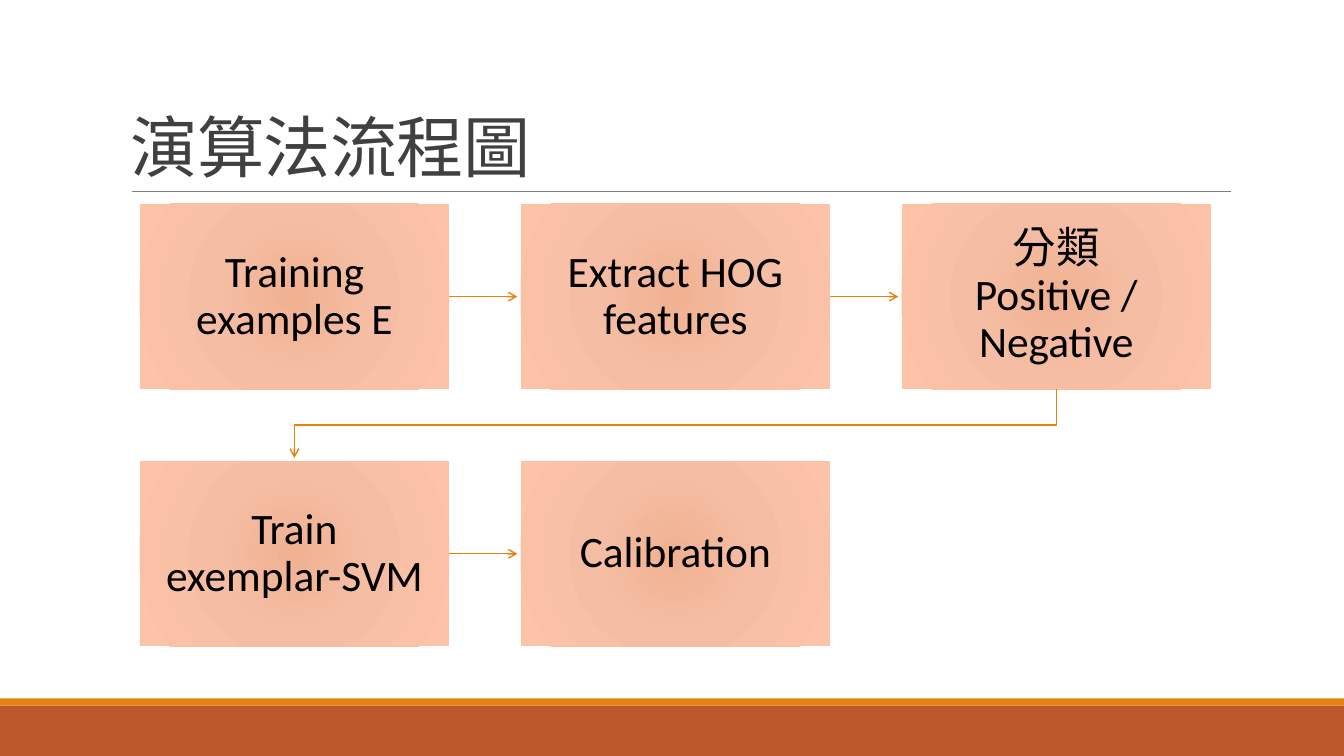
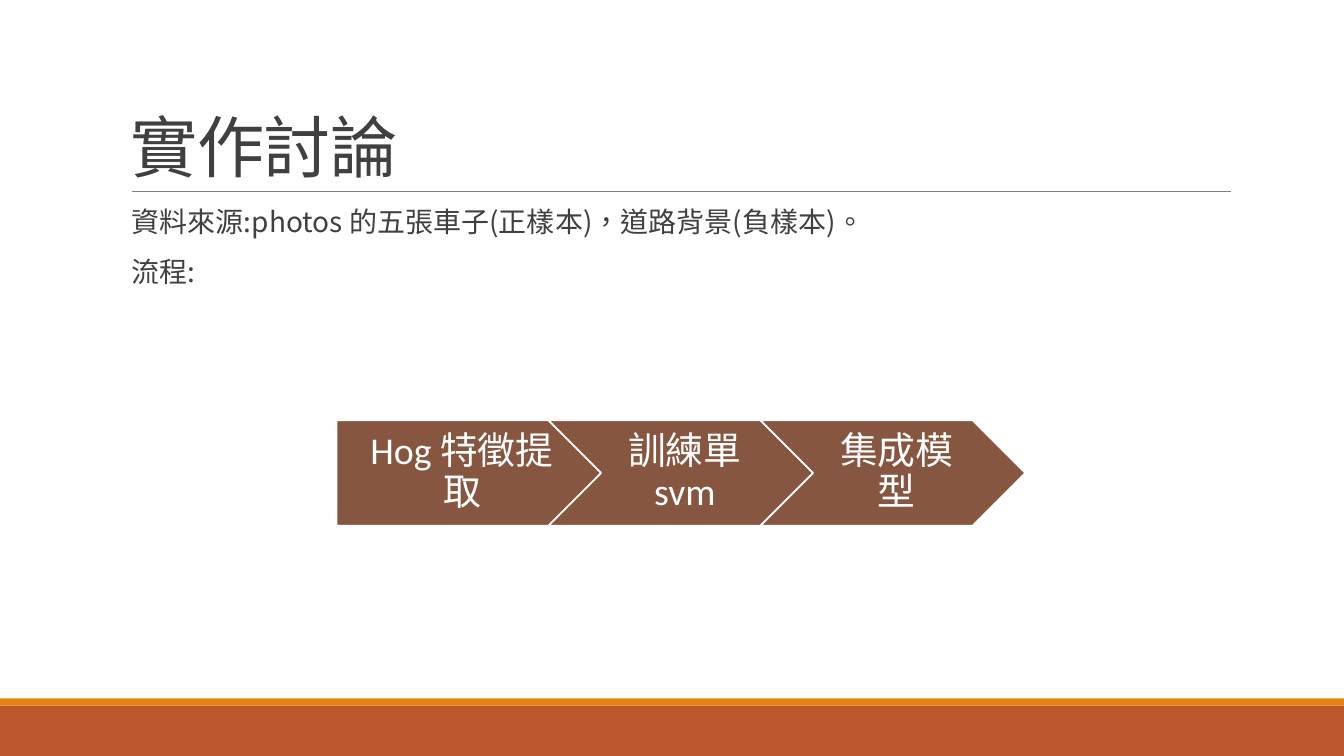
from dataclasses import dataclass

from lxml import etree
from pptx import Presentation
from pptx.dml.color import RGBColor
from pptx.enum.shapes import MSO_CONNECTOR, MSO_SHAPE
from pptx.enum.text import MSO_ANCHOR, PP_ALIGN
from pptx.oxml import parse_xml
from pptx.oxml.ns import nsdecls, qn
from pptx.util import Cm, Pt

STRAIGHT = MSO_CONNECTOR.STRAIGHT
RECTANGLE, PENTAGON, CHEVRON = MSO_SHAPE.RECTANGLE, MSO_SHAPE.PENTAGON, MSO_SHAPE.CHEVRON
MIDDLE, BOTTOM, CENTER = MSO_ANCHOR.MIDDLE, MSO_ANCHOR.BOTTOM, PP_ALIGN.CENTER


@dataclass(frozen=True)
class Theme:
    rust: str = "BD582C"
    orange: str = "E48312"
    brown: str = "865640"
    gray: str = "808080"
    ink: str = "404040"
    black: str = "000000"
    white: str = "FFFFFF"
    peach: tuple = ((0, "F0B191"), (45, "F5BEA4"), (100, "FDC3A8"))
    latin: str = "Calibri"
    chinese: str = "Noto Sans CJK TC"
    title_size: int = 48
    body_size: int = 20
    box_size: int = 31
    step_size: int = 27


theme = Theme()


def add_text(para, text, size, color, name=theme.latin):
    """Add one run with its Latin and East Asian fonts."""
    span = para.add_run()
    span.text = text
    span.font.size = Pt(size)
    span.font.color.rgb = RGBColor.from_string(color)
    span.font.name = name
    span.font._element.set("lang", "zh-TW")
    etree.SubElement(span.font._element, qn("a:ea"), typeface=theme.chinese)
    return span


def style_line(line_shape, color, width, arrow=False):
    """Give a connector or open outline its stroke, without a shadow."""
    line_shape.line.color.rgb = RGBColor.from_string(color)
    line_shape.line.width = Pt(width)
    properties = line_shape._element.spPr
    if arrow:
        etree.SubElement(properties.find(qn("a:ln")), qn("a:tailEnd"), type="arrow")
    etree.SubElement(properties, qn("a:effectLst"))


deck = Presentation()
deck.slide_width, deck.slide_height = Cm(33.87), Cm(19.05)
blank = deck.slide_layouts[6]

# Shared frame: bands, rule and title
pages = []
for title, title_font in (("演算法流程圖", theme.latin), ("實作討論", theme.chinese)):
    page = deck.slides.add_slide(blank)
    pages.append(page)
    for top, height, color in ((17.78, 1.27, theme.rust), (17.6, 0.18, theme.orange)):
        band = page.shapes.add_shape(RECTANGLE, 0, Cm(top), deck.slide_width, Cm(height))
        band.shadow.inherit = False
        band.fill.solid()
        band.fill.fore_color.rgb = RGBColor.from_string(color)
        band.line.fill.background()
    rule = page.shapes.add_connector(STRAIGHT, Cm(3.32), Cm(4.83), Cm(31.02), Cm(4.83))
    style_line(rule, theme.gray, 0.5)

    title_box = page.shapes.add_textbox(Cm(3.05), Cm(0.79), Cm(27.94), Cm(4.04))
    frame = title_box.text_frame
    frame.word_wrap = True
    frame.vertical_anchor = BOTTOM
    para = frame.paragraphs[0]
    para.line_spacing = 0.85
    span = add_text(para, title, theme.title_size, theme.ink, title_font)
    span.font._element.set("spc", "-50")

flow_page, discussion_page = pages

# Flow chart: boxes on a grid of three columns
columns = 3
box_left, box_top, box_width, box_height = Cm(3.52), Cm(5.14), Cm(7.8), Cm(4.67)
column_step, row_step = Cm(9.6), Cm(6.48)
arrow_gap = Cm(0.08)
stops = "".join(
    f'<a:gs pos="{position * 1000}"><a:srgbClr val="{color}"/></a:gs>'
    for position, color in theme.peach
)
gradient = (
    f'<a:gradFill {nsdecls("a")} rotWithShape="1"><a:gsLst>{stops}</a:gsLst>'
    '<a:path path="circle"><a:fillToRect l="100000" t="100000" r="100000" b="100000"/>'
    "</a:path></a:gradFill>"
)
flow_steps = (
    ("Training examples E",),
    ("Extract HOG features",),
    ("分類", "Positive / Negative"),
    ("Train exemplar-SVM",),
    ("Calibration",),
)
boxes = []
for index, lines in enumerate(flow_steps):
    row, column = divmod(index, columns)
    box = flow_page.shapes.add_shape(
        RECTANGLE, box_left + column * column_step, box_top + row * row_step,
        box_width, box_height)
    box.shadow.inherit = False
    box.line.fill.background()
    box._element.spPr.find(qn("a:prstGeom")).addnext(parse_xml(gradient))
    frame = box.text_frame
    frame.word_wrap = True
    frame.vertical_anchor = MIDDLE
    frame.margin_left = frame.margin_right = Cm(0.61)
    frame.margin_top = frame.margin_bottom = Cm(0.61)
    para = frame.paragraphs[0]
    para.alignment = CENTER
    para.line_spacing = 0.9
    for number, line in enumerate(lines):
        if number:
            para.add_line_break()
        add_text(para, line, theme.box_size, theme.black)
    boxes.append(box)

# Arrows: straight within a row, bent down to the next row
for start, end in zip(boxes, boxes[1:]):
    if start.top == end.top:
        middle = start.top + box_height // 2
        arrow = flow_page.shapes.add_connector(
            STRAIGHT, start.left + box_width, middle, end.left - arrow_gap, middle)
        arrow.begin_connect(start, 3)
    else:
        start_x, end_x = start.left + box_width // 2, end.left + box_width // 2
        start_y = start.top + box_height
        bend_y = (start_y + end.top) // 2
        outline = flow_page.shapes.build_freeform(start_x, start_y)
        outline.add_line_segments(
            [(start_x, bend_y), (end_x, bend_y), (end_x, end.top - arrow_gap)], close=False)
        arrow = outline.convert_to_shape()
        arrow.fill.background()
    style_line(arrow, theme.orange, 1, arrow=True)

# Discussion text
body = discussion_page.shapes.add_textbox(Cm(3.05), Cm(5.13), Cm(27.94), Cm(11.18))
frame = body.text_frame
frame.word_wrap = True
frame.margin_left, frame.margin_right = Cm(0.27), 0
for number, line in enumerate(("資料來源:photos 的五張車子(正樣本)，道路背景(負樣本)。", "流程:")):
    para = frame.add_paragraph() if number else frame.paragraphs[0]
    para.line_spacing = 0.9
    para.space_before = Pt(12 if number else 0)
    para.space_after = Pt(2)
    add_text(para, line, theme.body_size, theme.ink, theme.chinese)

# Process chevrons
process = (
    (PENTAGON, "Hog 特徵提取", 0.41),
    (CHEVRON, "訓練單svm", 0.3),
    (CHEVRON, "集成模型", 0.3),
)
for index, (kind, label, left_margin) in enumerate(process):
    step = discussion_page.shapes.add_shape(
        kind, Cm(8.48 + index * 5.34), Cm(10.59), Cm(6.68), Cm(2.66))
    step.shadow.inherit = False
    step.fill.solid()
    step.fill.fore_color.rgb = RGBColor.from_string(theme.brown)
    step.line.color.rgb = RGBColor.from_string(theme.white)
    step.line.width = Pt(1.25)
    frame = step.text_frame
    frame.word_wrap = True
    frame.vertical_anchor = MIDDLE
    frame.margin_left, frame.margin_right = Cm(left_margin), Cm(0.1)
    frame.margin_top = frame.margin_bottom = Cm(0.2)
    para = frame.paragraphs[0]
    para.alignment = CENTER
    para.line_spacing = 0.9
    add_text(para, label, theme.step_size, theme.white)

deck.save("out.pptx")
